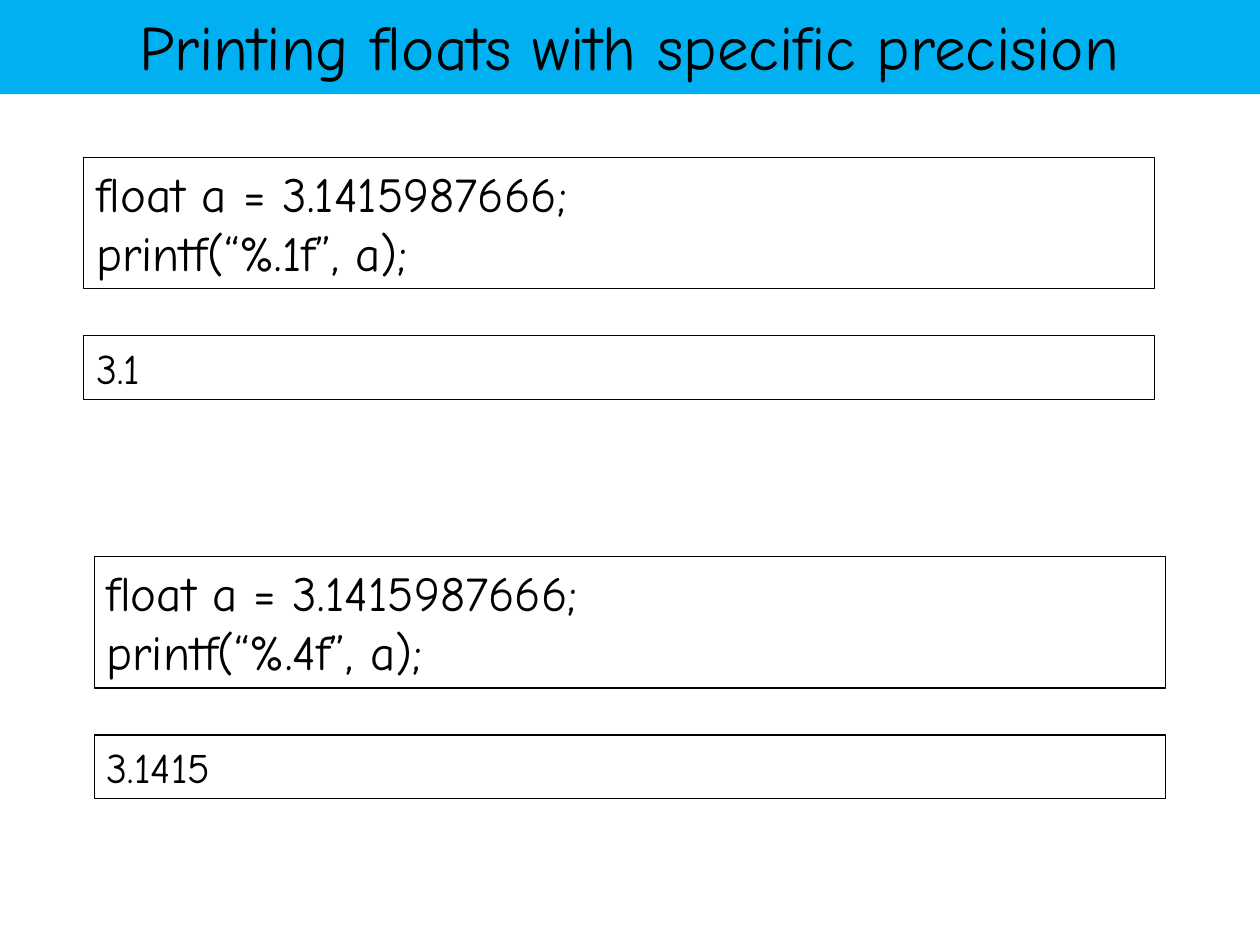
"""Build a slide on printing floats with a given number of decimals."""
from pptx import Presentation, util as u
from pptx.dml import color
from pptx.enum import text

COLORS = {"band": "00B0F0", "ink": "000000"}
FONT = "Comic Neue"


def write(frame, lines, size, **layout):
    layout = {"word_wrap": True, "vertical_anchor": text.MSO_ANCHOR.TOP, **layout}
    for name, value in layout.items():
        setattr(frame, name, value)
    frame.text = "\n".join(lines)
    for line in frame.paragraphs:
        for name, value in {"name": FONT, "size": u.Pt(size), "bold": False}.items():
            setattr(line.font, name, value)
        line.font.color.rgb = color.RGBColor.from_string(COLORS["ink"])


deck = Presentation()
deck.slide_width, deck.slide_height = u.Cm(25.4), u.Cm(19.05)
slide = deck.slides.add_slide(deck.slide_layouts[5])

heading = slide.shapes.title
place = {"left": u.Cm(-0.03), "top": u.Cm(-0.08), "width": u.Cm(25.43), "height": u.Cm(1.98)}
for name, value in place.items():
    setattr(heading, name, value)
heading.fill.solid()
heading.fill.fore_color.rgb = color.RGBColor.from_string(COLORS["band"])
write(heading.text_frame, ["Printing floats with specific precision"], 36,
      vertical_anchor=text.MSO_ANCHOR.MIDDLE, auto_size=text.MSO_AUTO_SIZE.NONE)
heading.text_frame.paragraphs[0].alignment = text.PP_ALIGN.CENTER

examples = [(1.69, 3.17, 1, "3.1"), (1.9, 11.22, 4, "3.1415")]
for left, top, decimals, output in examples:
    code = ["float a = 3.1415987666;", f"printf(“%.{decimals}f”, a);"]
    panels = [(0, 2.65, code, 28), (3.6, 1.28, [output], 24)]
    for offset, height, lines, size in panels:
        panel = slide.shapes.add_textbox(
            u.Cm(left), u.Cm(top + offset), u.Cm(21.59), u.Cm(height))
        panel.line.color.rgb = color.RGBColor.from_string(COLORS["ink"])
        panel.line.width = u.Pt(0.75)
        write(panel.text_frame, lines, size,
              auto_size=text.MSO_AUTO_SIZE.SHAPE_TO_FIT_TEXT)

deck.save("out.pptx")
